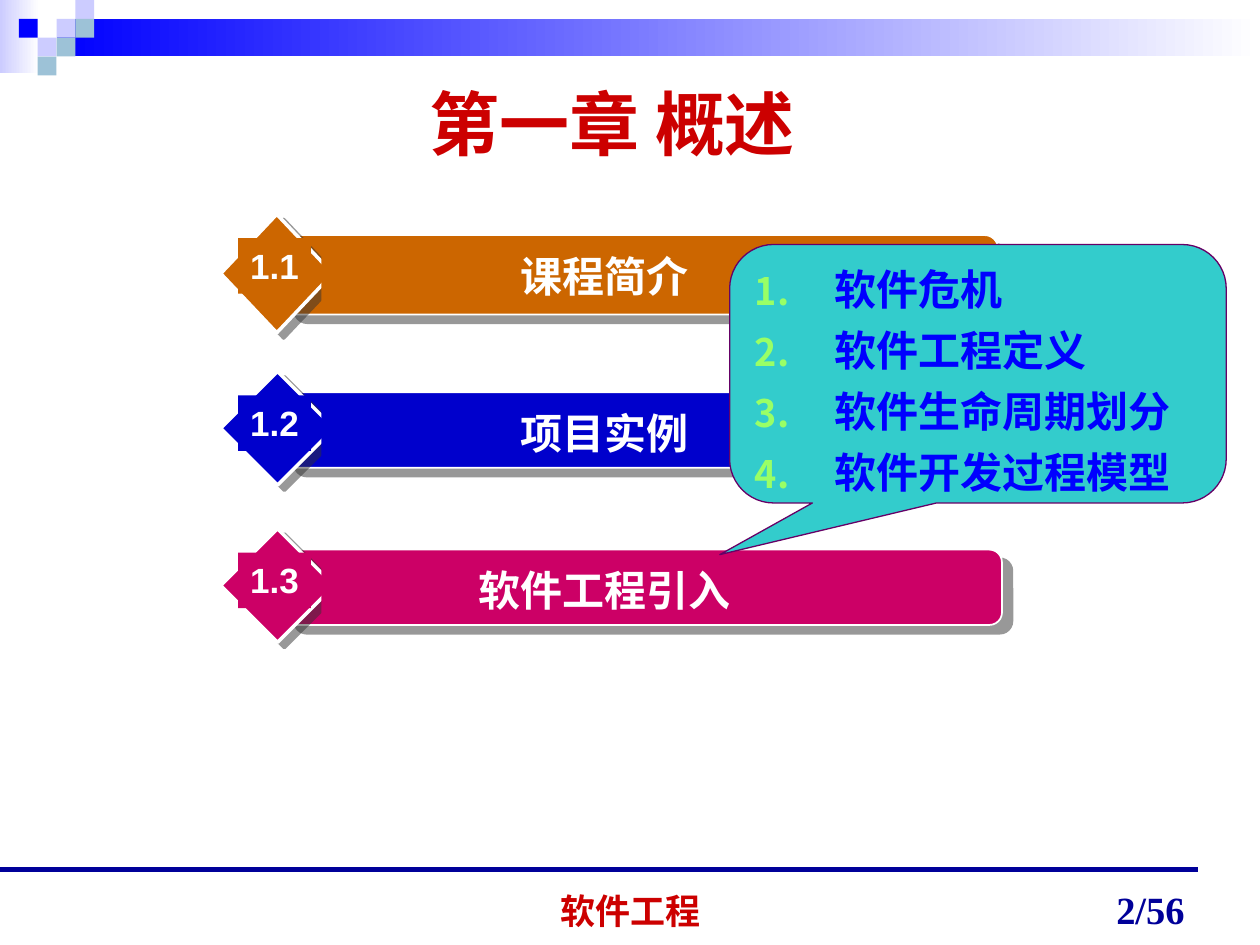
from lxml.etree import SubElement
from pptx import Presentation
from pptx.dml.color import RGBColor
from pptx.enum.shapes import MSO_CONNECTOR, MSO_SHAPE
from pptx.enum.text import MSO_ANCHOR, PP_ALIGN
from pptx.oxml.ns import qn
from pptx.util import Cm, Pt

# Content
TITLE = "第一章 概述"
FOOTER, PAGE = "软件工程", "2/56"
# number, label, colour, bar size, diamond size
ROWS = [
    ("1.1", "课程简介", "CC6600", (14.4, 1.6), (2.26, 2.39)),
    ("1.2", "项目实例", "0000CC", (14.48, 1.52), (2.29, 2.29)),
    ("1.3", "软件工程引入", "CC0066", (14.48, 1.52), (2.29, 2.29)),
]
TOPICS = ["软件危机", "软件工程定义", "软件生命周期划分", "软件开发过程模型"]
# mosaic squares: column, row, colour
SQUARES = [
    (2, 1, "lilac"), (3, 0, "lilac"), (3, 1, "mist"), (1, 2, "lilac"),
    (0, 1, "blue"), (2, 2, "mist"), (1, 3, "mist"),
]

THEME = {
    "blue": "0000FF", "lilac": "CCCCFF", "mist": "9DC2D7", "white": "FFFFFF",
    "red": "CC0000", "navy": "000099", "teal": "33CCCC", "purple": "660066",
    "lime": "99FF66", "shadow": "333333",
    "title": 40, "label": 24, "number": 20, "footer": 20, "page": 22,
    "sans": "Arial", "serif": "Times New Roman",
}
T = THEME


def rgb(name):
    return RGBColor.from_string(T.get(name, name))


def add_run(p, text, size, color, font):
    r = p.add_run()
    r.text = text
    r.font.size, r.font.bold = Pt(T[size]), True
    r.font.name, r.font.color.rgb = T[font], rgb(color)


def add_box(s, kind, x, y, w, h, fill, line=None, width=1):
    sp = s.shapes.add_shape(kind, Cm(x), Cm(y), Cm(w), Cm(h))
    sp.shadow.inherit = False
    if isinstance(fill, tuple):
        sp.fill.gradient()
        sp.fill.gradient_angle = 0
        for stop, pos, color in zip(sp.fill.gradient_stops, (0, 1), fill):
            stop.position, stop.color.rgb = pos, rgb(color)
    else:
        sp.fill.solid()
        sp.fill.fore_color.rgb = rgb(fill)
    if line:
        sp.line.color.rgb, sp.line.width = rgb(line), Pt(width)
    else:
        sp.line.fill.background()
    return sp


def add_shadow(sp, dist, angle):
    effects = sp._element.spPr.find(qn("a:effectLst"))
    shadow = SubElement(effects, qn("a:outerShdw"), dist=str(Pt(dist)),
                        dir=str(angle * 60000), algn="ctr", rotWithShape="0")
    color = SubElement(shadow, qn("a:srgbClr"), val=T["shadow"])
    SubElement(color, qn("a:alpha"), val="50000")


def set_text(sp, text, size, color, font, align=PP_ALIGN.CENTER,
             anchor=MSO_ANCHOR.TOP, wrap=True):
    tf = sp.text_frame
    tf.word_wrap, tf.vertical_anchor = wrap, anchor
    p = tf.paragraphs[0]
    p.alignment = align
    add_run(p, text, size, color, font)
    return p


def add_number_bullet(p):
    pPr = p._p.get_or_add_pPr()
    pPr.set("marL", str(Cm(1.6)))
    pPr.set("indent", str(-Cm(1.6)))
    SubElement(SubElement(pPr, qn("a:buClr")), qn("a:srgbClr"), val=T["lime"])
    SubElement(pPr, qn("a:buSzPct"), val="90000")
    SubElement(pPr, qn("a:buFont"), typeface=T["sans"])
    SubElement(pPr, qn("a:buAutoNum"), type="arabicPeriod")


prs = Presentation()
prs.slide_width, prs.slide_height = Cm(25.4), Cm(19.05)
s = prs.slides.add_slide(prs.slide_layouts[5])

# Header band and mosaic
RECT, CELL = MSO_SHAPE.RECTANGLE, 0.38
add_box(s, RECT, 0, 0, 0.79, 1.47, ("lilac", "white"))
add_box(s, RECT, 1.14, CELL, 24.26, 0.76, ("blue", "white"))
for col, row, color in SQUARES:
    add_box(s, RECT, 0.38 + col * CELL, row * CELL, CELL, CELL, color)

# Footer rule, course name and page
rule = s.shapes.add_connector(MSO_CONNECTOR.STRAIGHT,
                              Cm(0), Cm(17.53), Cm(24.16), Cm(17.53))
rule.line.color.rgb, rule.line.width = rgb("navy"), Pt(3.25)
SubElement(rule._element.spPr, qn("a:effectLst"))
for text, x, w, size, color, align in (
    (FOOTER, 8.69, 8.05, "footer", "red", PP_ALIGN.CENTER),
    (PAGE, 18.21, 5.92, "page", "navy", PP_ALIGN.RIGHT),
):
    box = s.shapes.add_textbox(Cm(x), Cm(17.64), Cm(w), Cm(1.27))
    set_text(box, text, size, color, "serif", align, MSO_ANCHOR.BOTTOM)

# Title
title = s.shapes.title
title.left, title.top, title.width, title.height = Cm(0.91), Cm(1.22), Cm(22.86), Cm(2.51)
set_text(title, TITLE, "title", "red", "serif", anchor=MSO_ANCHOR.MIDDLE)

# Chapter sections
TOP, PITCH = 4.32, 3.17
for i, (number, label, color, bar_size, diamond_size) in enumerate(ROWS):
    y = TOP + i * PITCH
    bar = add_box(s, MSO_SHAPE.ROUNDED_RECTANGLE, 5.72, y + 0.42, *bar_size, color, "white")
    add_shadow(bar, 7.8, 40)
    diamond = add_box(s, MSO_SHAPE.DIAMOND, 4.45, y, *diamond_size, color, "white", 2)
    add_shadow(diamond, 5, 37)
    sp = add_box(s, RECT, 6.48, y + 0.6, 11.4, 1.27, color)
    set_text(sp, label, "label", "white", "sans")
    sp = add_box(s, RECT, 4.8, y + 0.48, 1.47, 1.12, color)
    set_text(sp, number, "number", "white", "sans", wrap=False)

# Callout with the topics of the last section
callout = add_box(s, MSO_SHAPE.ROUNDED_RECTANGULAR_CALLOUT, 14.71, 4.93, 10.01, 5.21,
                  "teal", "purple", 0.75)
for i, value in enumerate((-0.52, 0.7, 0.17)):
    callout.adjustments[i] = value
tf = callout.text_frame
tf.word_wrap, tf.vertical_anchor = True, MSO_ANCHOR.TOP
for i, topic in enumerate(TOPICS):
    p = tf.add_paragraph() if i else tf.paragraphs[0]
    add_number_bullet(p)
    p.alignment = PP_ALIGN.LEFT
    p.space_before = Pt(6 if i else 0)
    add_run(p, topic, "label", "blue", "sans")

prs.save("out.pptx")
